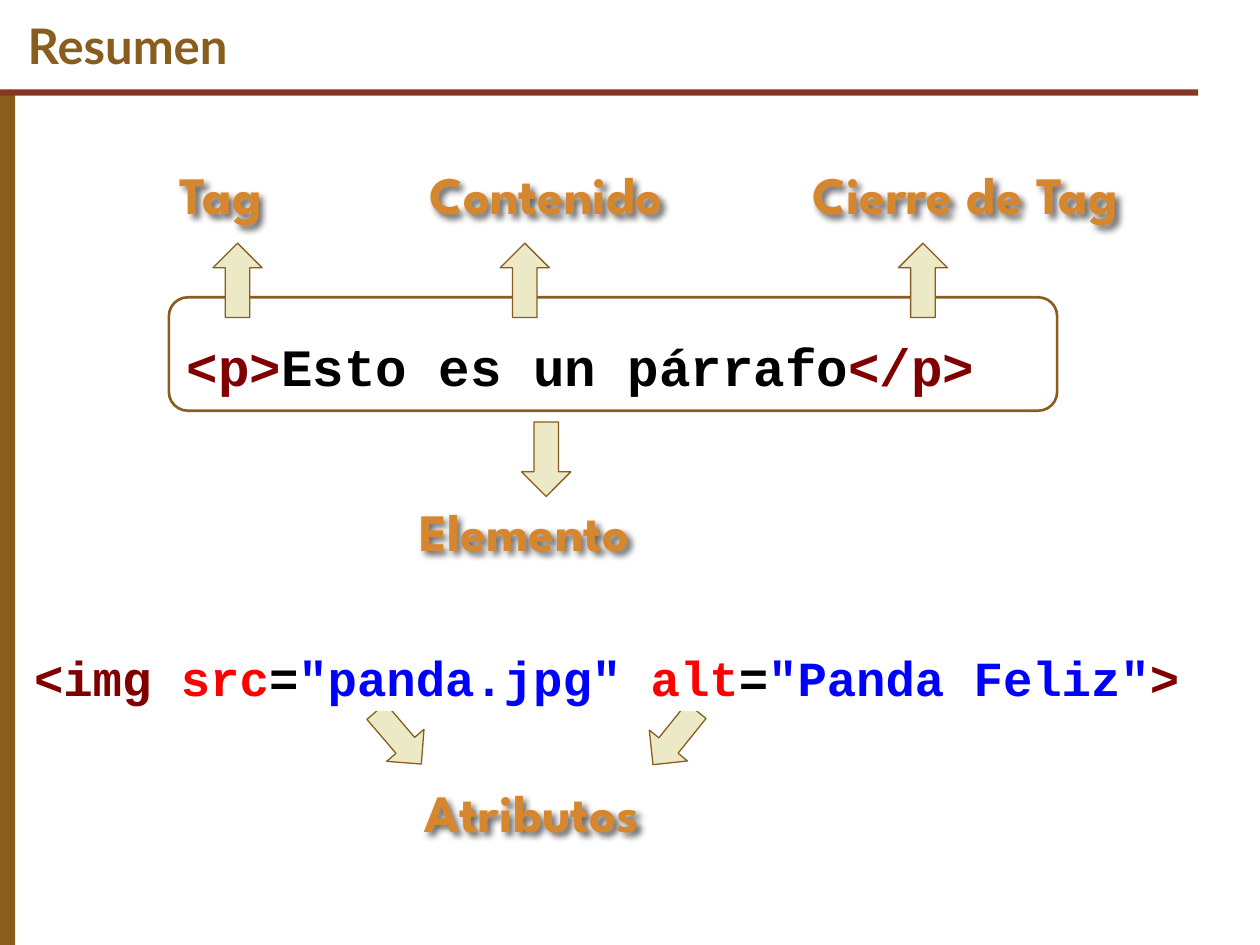
from lxml.etree import SubElement
from pptx import Presentation
from pptx.dml.color import RGBColor
from pptx.enum.shapes import MSO_SHAPE as SHAPE
from pptx.enum.text import MSO_ANCHOR as ANCHOR, MSO_AUTO_SIZE as AUTO, PP_ALIGN as ALIGN
from pptx.oxml.ns import qn
from pptx.util import Inches, Pt

CELL = Inches(0.1)
COLS, ROWS = 100, 75
BROWN, RED, ORANGE, CREAM = "895D1D", "873624", "D6862D", "ECE9C6"
TAG, ATTR, VALUE, BLACK, WHITE = "800000", "FF0000", "0000FF", "000000", "FFFFFF"


def rgb(value):
    """Turn a hex string into a colour."""
    return RGBColor.from_string(value)


def place(box, x, y, w, h):
    """Return the lengths of a part given in grid cells from the box corner."""
    return [round(v * CELL) for v in (box[0] + x, box[1] + y, w, h)]


def add_shape(slide, kind, at, fill=None, line=None, width=0.75):
    """Add a flat preset shape with optional fill and outline."""
    s = slide.shapes.add_shape(kind, *at)
    s.shadow.inherit = False
    if fill:
        s.fill.solid()
        s.fill.fore_color.rgb = rgb(fill)
    else:
        s.fill.background()
    if line:
        s.line.color.rgb = rgb(line)
        s.line.width = Pt(width)
    else:
        s.line.fill.background()
    return s


def set_frame(s, anchor, vertical):
    """Wrap the text, set anchor and insets, and return the frame."""
    tf = s.text_frame
    tf.word_wrap = True
    tf.auto_size = AUTO.NONE
    tf.vertical_anchor = anchor
    tf.margin_left = tf.margin_right = Inches(0.1)
    tf.margin_top = tf.margin_bottom = Inches(vertical)
    return tf


def style(r, name, size, color):
    """Format a run in bold."""
    r.font.name, r.font.size, r.font.bold = name, Pt(size), True
    r.font.color.rgb = rgb(color)


def add_arrow(slide, at, rotation):
    """Add a block arrow turned by the given angle."""
    s = add_shape(slide, SHAPE.RIGHT_ARROW, at, CREAM, BROWN)
    s.rotation = rotation


def add_label(slide, at, text):
    """Add an orange label whose letters cast a soft shadow."""
    s = slide.shapes.add_textbox(*at)
    tf = set_frame(s, ANCHOR.TOP, 0.05)
    tf.text = text
    style(tf.paragraphs[0].runs[0], "League Spartan", 30, ORANGE)
    effects = SubElement(s._element.spPr, qn("a:effectLst"))
    shadow = SubElement(effects, qn("a:outerShdw"), blurRad="50800", dist="38100",
                        dir="2700000", algn="tl", rotWithShape="0")
    color = SubElement(shadow, qn("a:srgbClr"), val=BLACK)
    SubElement(color, qn("a:alpha"), val="60000")


def write_code(tf, parts, size, align, highlight=None):
    """Write coloured code parts on one line."""
    p = tf.paragraphs[0]
    p.alignment = align
    p.line_spacing = 1.36
    for text, color in parts:
        r = p.add_run()
        r.text = text
        r.font.color.rgb = rgb(color)
        if highlight:
            mark = SubElement(r.font._element, qn("a:highlight"))
            SubElement(mark, qn("a:srgbClr"), val=highlight)
        style(r, "Courier New", size, color)


def add_header(slide, box):
    """Place the side bar, the rule and the title."""
    add_shape(slide, SHAPE.RECTANGLE, place(box, 0, 7.3, 1.2, ROWS - 7.3), BROWN)
    add_shape(slide, SHAPE.RECTANGLE, place(box, 0, 7.1, 95.1, 0.5), RED)
    s = slide.shapes.title
    s.left, s.top, s.width, s.height = place(box, 1.2, 0, COLS - 1.2, 7.1)
    tf = set_frame(s, ANCHOR.MIDDLE, 0.1)
    tf.text = "Resumen"
    tf.paragraphs[0].alignment = ALIGN.LEFT
    style(tf.paragraphs[0].runs[0], "Lato", 28, BROWN)


def add_element(slide, box):
    """Place the paragraph element with its named parts."""
    s = add_shape(slide, SHAPE.FLOWCHART_ALTERNATE_PROCESS,
                  place(box, 0.1, 11.2, 70.5, 9), line=BROWN, width=1.5)
    write_code(set_frame(s, ANCHOR.MIDDLE, 0.1),
               [("<p>", TAG), ("Esto es un párrafo", BLACK), ("</p>", TAG)], 30, ALIGN.LEFT)
    for text, x, w, arrow_x in [("Tag", 0, 10.2, 2.6), ("Contenido", 19.8, 22, 25.4),
                                ("Cierre de Tag", 50.2, 27.9, 57)]:
        add_label(slide, place(box, x, 0, w, 7.1), text)
        add_arrow(slide, place(box, arrow_x, 7.9, 5.9, 3.9), 270)
    add_arrow(slide, place(box, 27.1, 22.1, 5.9, 3.9), 90)
    add_label(slide, place(box, 19, 26.7, 22, 7.1), "Elemento")


def add_attributes(slide, box):
    """Place the image tag with arrows to the name of its attributes."""
    for x, rotation in [(28.3, 49.4), (50.2, 128.9)]:
        add_arrow(slide, place(box, x, 7.9, 5.5, 3.9), rotation)
    add_label(slide, place(box, 32.1, 12.7, 23, 7.1), "Atributos")
    s = slide.shapes.add_textbox(*place(box, 0, 0, 95.1, 7.1))
    parts = [("<img", TAG), (" ", BLACK), ("src", ATTR), ("=", BLACK), ('"panda.jpg"', VALUE),
             (" ", BLACK), ("alt", ATTR), ("=", BLACK), ('"Panda Feliz"', VALUE), (">", TAG)]
    write_code(set_frame(s, ANCHOR.TOP, 0.1), parts, 28, ALIGN.CENTER, WHITE)


def main():
    """Build the summary slide."""
    prs = Presentation()
    prs.slide_width, prs.slide_height = COLS * CELL, ROWS * CELL
    slide = prs.slides.add_slide(prs.slide_layouts[5])
    add_header(slide, (0, 0))
    add_element(slide, (13.3, 12.4))
    add_attributes(slide, (0.6, 48.7))
    prs.save("out.pptx")


if __name__ == "__main__":
    main()
